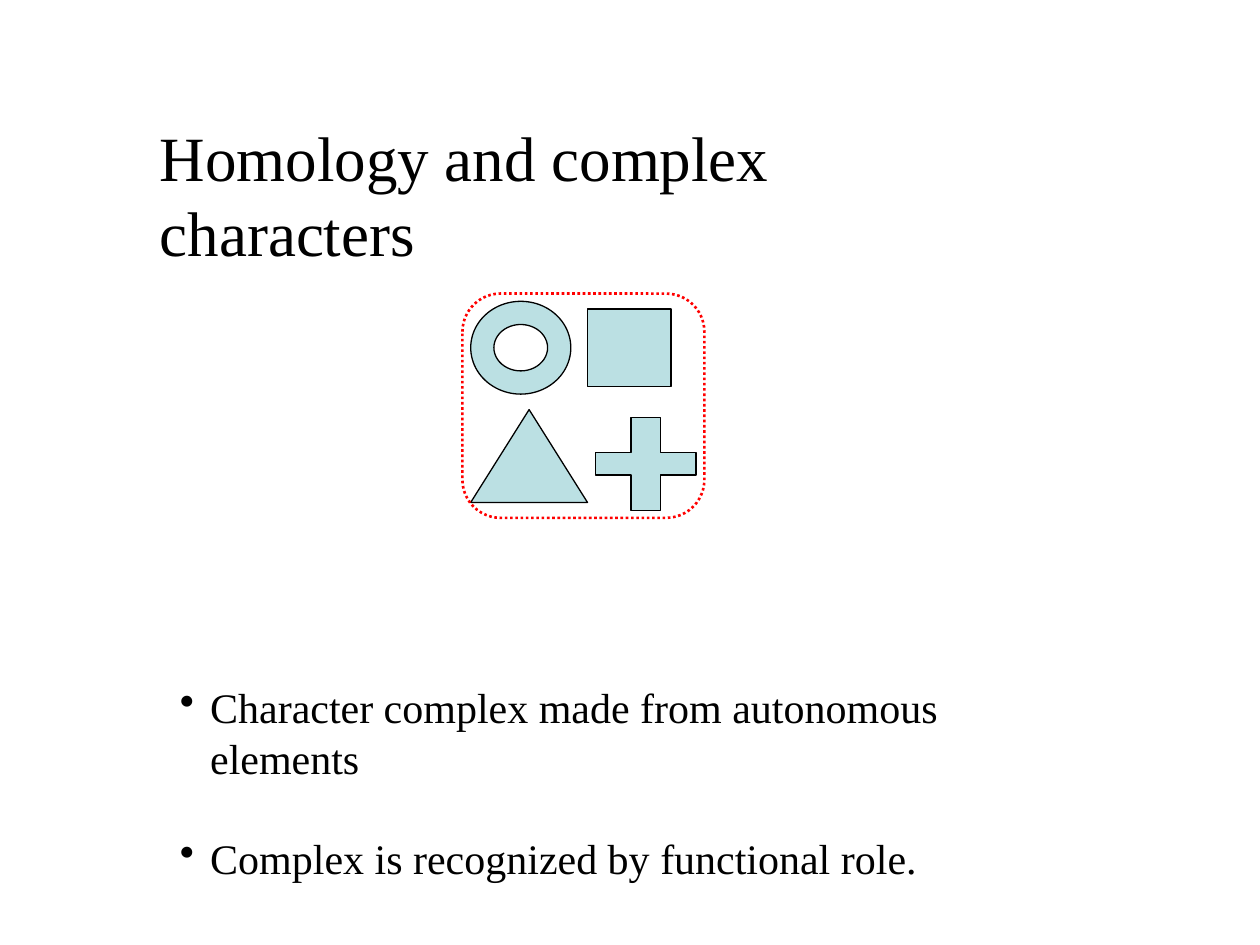
from dataclasses import dataclass
from typing import Optional

from lxml.etree import SubElement
from pptx import Presentation
from pptx.dml.color import RGBColor
from pptx.enum.dml import MSO_LINE
from pptx.enum.shapes import MSO_SHAPE as Preset
from pptx.enum.text import MSO_AUTO_SIZE as AutoSize
from pptx.oxml.ns import qn
from pptx.util import Emu, Inches, Pt

BLACK = RGBColor(0x00, 0x00, 0x00)
RED = RGBColor(0xFF, 0x00, 0x00)
PALE_TEAL = RGBColor(0xBB, 0xE0, 0xE3)
FONT = "Times New Roman"
GRID_LEFT, GRID_TOP = Inches(3.67), Inches(2.33)
GRID_CELLS = 29
COLUMN = Emu(Inches(1.92) // GRID_CELLS)
ROW = Emu(Inches(1.78) // GRID_CELLS)


@dataclass(frozen=True)
class Element:
    """A preset shape placed in grid columns and rows."""
    preset: Preset
    column: int
    row: int
    columns: int
    rows: int
    adjustment: Optional[float] = None
    fill: Optional[RGBColor] = PALE_TEAL
    line: RGBColor = BLACK
    line_width: float = 0.75
    dash: Optional[MSO_LINE] = None


ELEMENTS = (
    Element(Preset.DONUT, 1, 1, 12, 12, 0.25),
    Element(Preset.RECTANGLE, 15, 2, 10, 10),
    Element(Preset.ISOSCELES_TRIANGLE, 1, 15, 14, 12, 0.5),
    Element(Preset.CROSS, 16, 16, 12, 12, 0.38),
    Element(Preset.ROUNDED_RECTANGLE, 0, 0, GRID_CELLS, GRID_CELLS, 0.17,
            fill=None, line=RED, line_width=1.5, dash=MSO_LINE.ROUND_DOT),
)


def draw_element(group, element: Element) -> None:
    """Draw one element of the character complex."""
    shape = group.shapes.add_shape(
        element.preset,
        GRID_LEFT + element.column * COLUMN, GRID_TOP + element.row * ROW,
        element.columns * COLUMN, element.rows * ROW)
    shape.shadow.inherit = False
    if element.adjustment is not None:
        shape.adjustments[0] = element.adjustment
    if element.fill is None:
        shape.fill.background()
    else:
        shape.fill.solid()
        shape.fill.fore_color.rgb = element.fill
    shape.line.color.rgb = element.line
    shape.line.width = Pt(element.line_width)
    if element.dash is not None:
        shape.line.dash_style = element.dash


def add_bullet(paragraph, indent: Emu) -> None:
    """Give a paragraph a hanging round bullet."""
    properties = paragraph._p.get_or_add_pPr()
    properties.set("marL", str(indent))
    properties.set("indent", str(-indent))
    SubElement(properties, qn("a:buChar")).set("char", "•")


def add_text(slide, text: str, *, left: float, top: float, width: float,
             height: float, size: float, inset_top: float, wrap: bool = True,
             bullet_indent: Optional[Emu] = None, line_pitch: Optional[float] = None,
             gap: float = 0) -> None:
    """Add a text box with one paragraph for each line of text."""
    box = slide.shapes.add_textbox(Inches(left), Inches(top), Inches(width), Inches(height))
    frame = box.text_frame
    frame.word_wrap = wrap
    frame.auto_size = AutoSize.SHAPE_TO_FIT_TEXT
    frame.margin_top = Inches(inset_top)
    for index, line in enumerate(text.split("\n")):
        paragraph = frame.add_paragraph() if index else frame.paragraphs[0]
        if bullet_indent is not None:
            add_bullet(paragraph, bullet_indent)
        if line_pitch is not None:
            paragraph.line_spacing = Pt(line_pitch)
        if index:
            paragraph.space_before = Pt(gap)
        run = paragraph.add_run()
        run.text = line
        run.font.name = FONT
        run.font.size = Pt(size)
        run.font.color.rgb = BLACK


def main() -> None:
    """Build the slide and save it."""
    presentation = Presentation()
    presentation.slide_width, presentation.slide_height = Inches(10), Inches(7.5)
    slide = presentation.slides.add_slide(presentation.slide_layouts[6])
    group = slide.shapes.add_group_shape()
    for element in ELEMENTS:
        draw_element(group, element)
    add_text(slide, "Homology and complex characters", left=1.17, top=0.83,
             width=7.18, height=0.7, size=36, inset_top=0.11, wrap=False)
    add_text(slide, "Character complex made from autonomous elements\n"
             "Complex is recognized by functional role.", left=1.33, top=5.33,
             width=7.36, height=1.3, size=24, inset_top=0.08,
             bullet_indent=Inches(0.24), line_pitch=28.8, gap=28.8)
    presentation.save("out.pptx")


if __name__ == "__main__":
    main()
